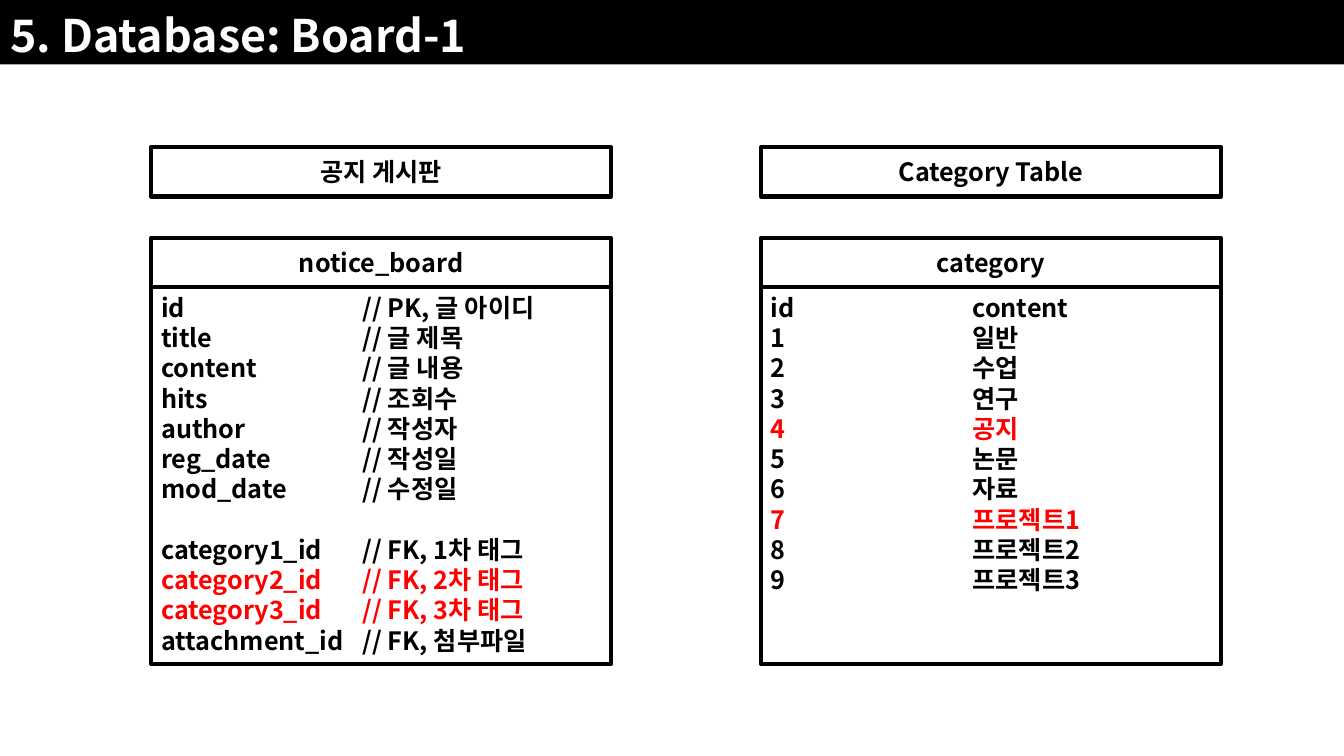
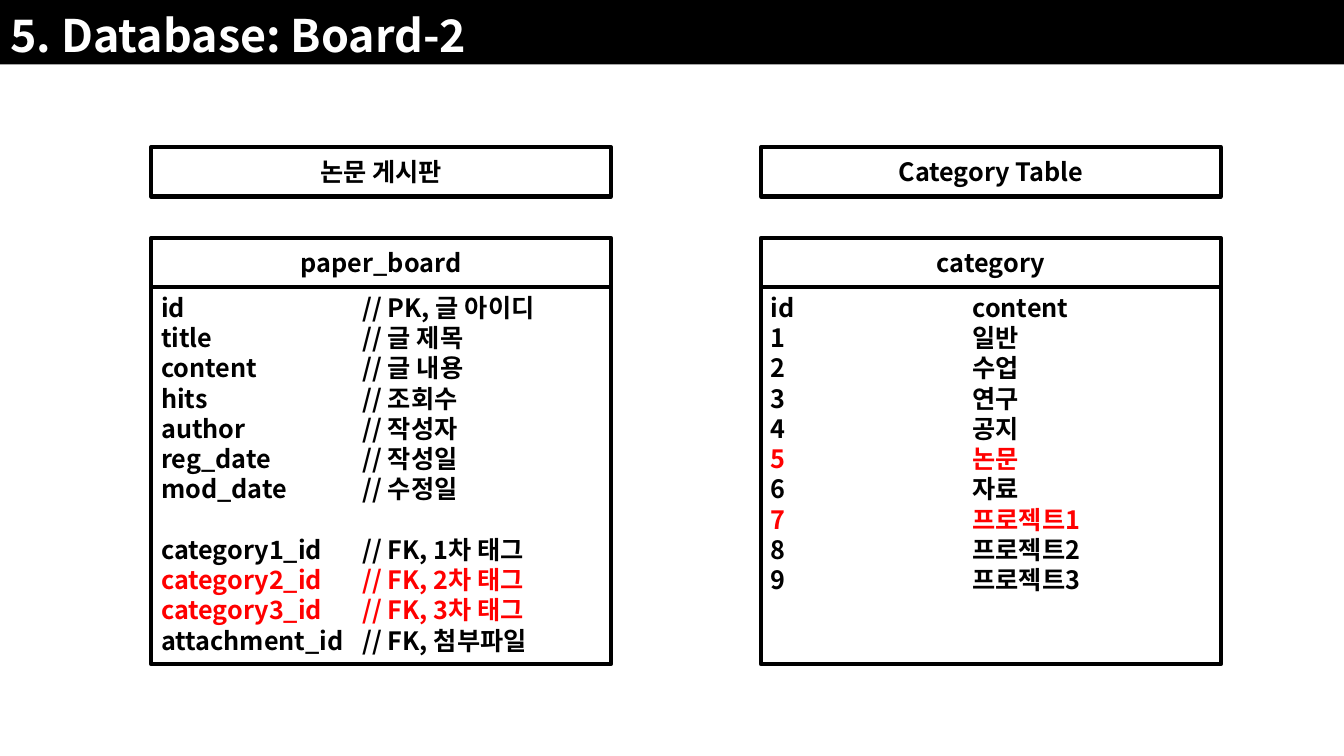
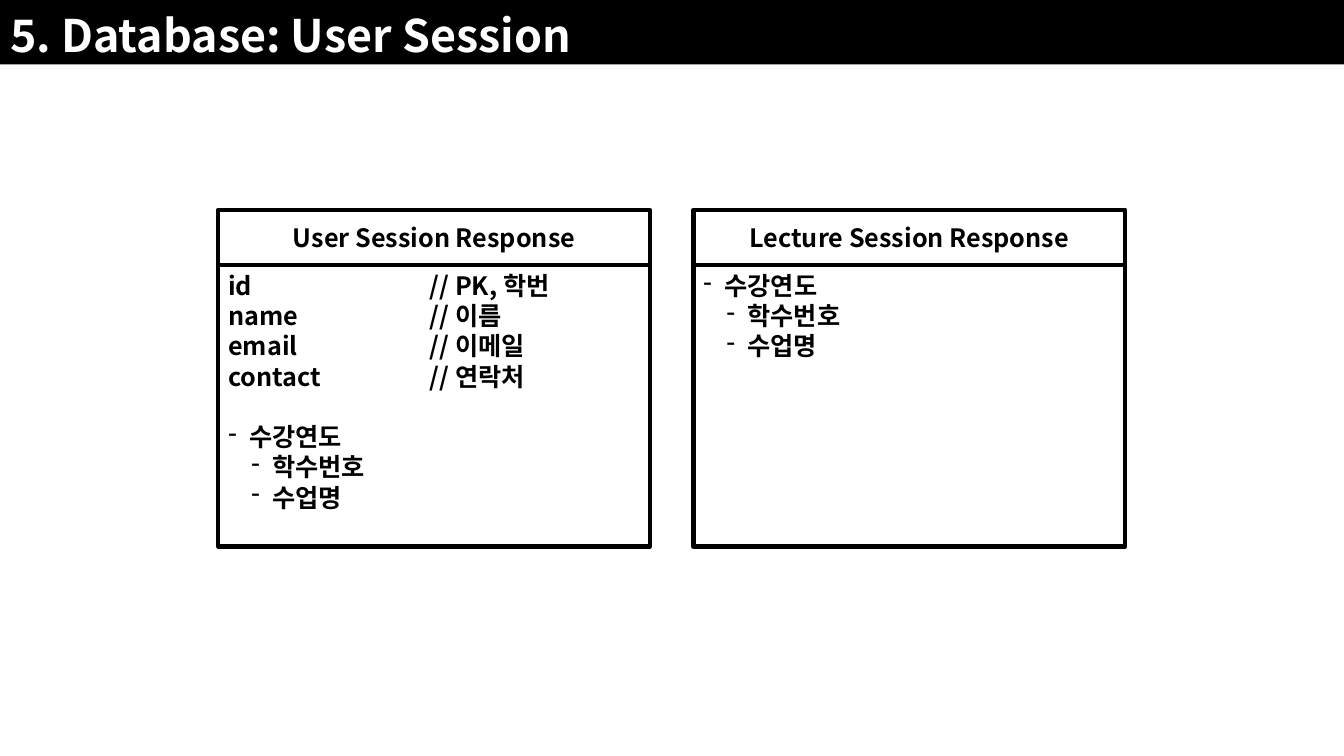
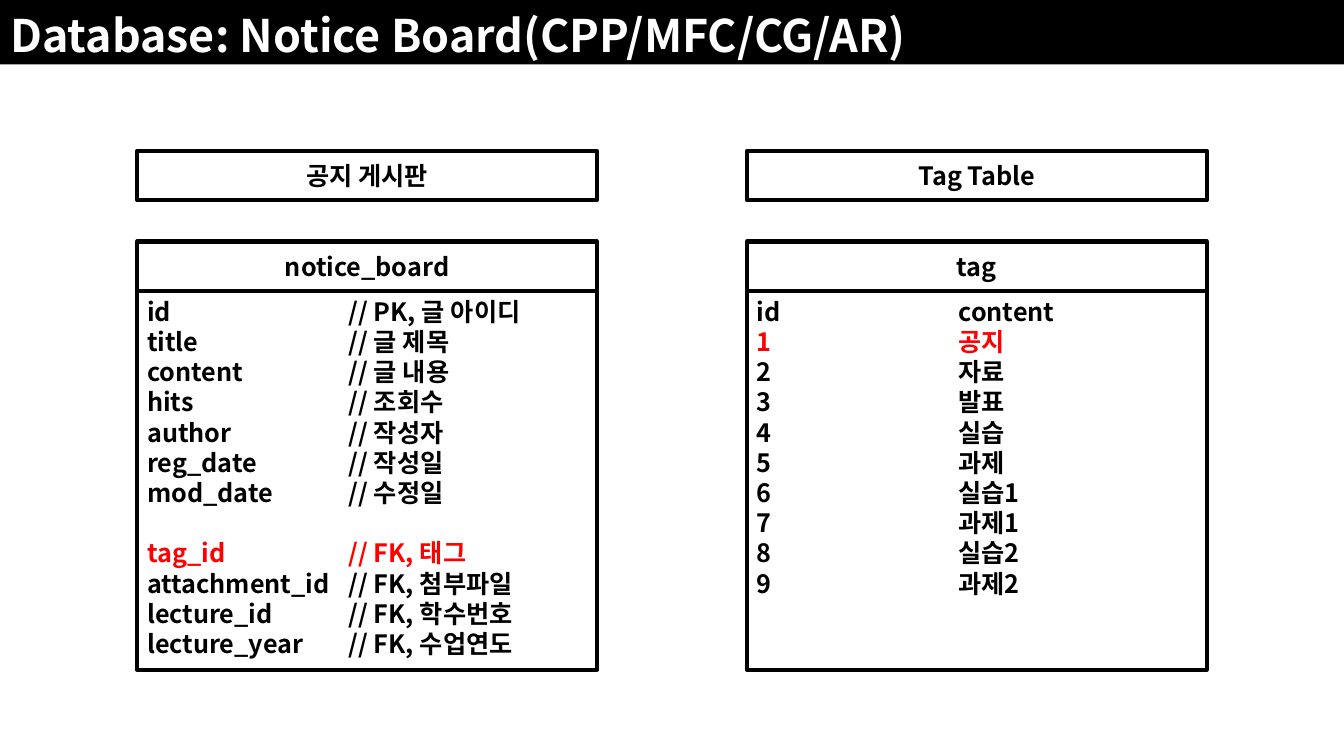
from dataclasses import dataclass, replace

from pptx import Presentation
from pptx.dml.color import RGBColor
from pptx.enum.shapes import MSO_SHAPE
from pptx.enum.text import MSO_ANCHOR, MSO_AUTO_SIZE, PP_ALIGN
from pptx.oxml.ns import qn
from pptx.slide import Slide
from pptx.text.text import TextFrame, _Paragraph
from pptx.util import Pt
from lxml import etree

RECTANGLE = MSO_SHAPE.RECTANGLE
TOP, MIDDLE = MSO_ANCHOR.TOP, MSO_ANCHOR.MIDDLE
LEFT, CENTER = PP_ALIGN.LEFT, PP_ALIGN.CENTER
NO_AUTOFIT = MSO_AUTO_SIZE.NONE

BLACK = RGBColor(0x00, 0x00, 0x00)
WHITE = RGBColor(0xFF, 0xFF, 0xFF)
RED = RGBColor(0xFF, 0x00, 0x00)

FONT = "Noto Sans CJK KR"
SLIDE_WIDTH, SLIDE_HEIGHT = 960, 540
BAND_HEIGHT = 46
TITLE_SIZE, TEXT_SIZE = 32, 18
LINE_RATIO = 1.2
TEXT_LINE = TEXT_SIZE * LINE_RATIO
BORDER = 3
COLUMN_STOP = 144
DASH_INDENT, LEVEL_STEP = 15, 16.5
LABEL_OFFSET = 64.8
TITLE_ONLY = 5


@dataclass(frozen=True)
class Row:
    """One line of a panel; a dash level of 0 means no dash."""
    text: str
    color: RGBColor = BLACK
    dash_level: int = 0
    gap_before: bool = False


@dataclass(frozen=True)
class Panel:
    heading: str
    rows: list[Row]
    label: str = ""


@dataclass(frozen=True)
class Grid:
    """Place and size of the panels on one slide, in points."""
    left: float
    top: float
    step: float
    width: float
    heading_height: float
    body_height: float


@dataclass(frozen=True)
class Page:
    title: str
    grid: Grid
    panels: list[Panel]


# Shared rows
POST_ROWS = [
    Row("id\t// PK, 글 아이디"),
    Row("title\t// 글 제목"),
    Row("content\t// 글 내용"),
    Row("hits\t// 조회수"),
    Row("author\t// 작성자"),
    Row("reg_date\t// 작성일"),
    Row("mod_date\t// 수정일"),
]
BOARD_ROWS = POST_ROWS + [
    Row("category1_id\t// FK, 1차 태그", gap_before=True),
    Row("category2_id\t// FK, 2차 태그", RED),
    Row("category3_id\t// FK, 3차 태그", RED),
    Row("attachment_id\t// FK, 첨부파일"),
]
TAGGED_ROWS = POST_ROWS + [
    Row("tag_id\t// FK, 태그", RED, gap_before=True),
    Row("attachment_id\t// FK, 첨부파일"),
    Row("lecture_id\t// FK, 학수번호"),
    Row("lecture_year\t// FK, 수업연도"),
]
LECTURE_ROWS = [
    Row("수강연도", dash_level=1),
    Row("학수번호", dash_level=2),
    Row("수업명", dash_level=2),
]
USER_ROWS = [
    Row("id\t// PK, 학번"),
    Row("name\t// 이름"),
    Row("email\t// 이메일"),
    Row("contact\t// 연락처"),
    replace(LECTURE_ROWS[0], gap_before=True),
    *LECTURE_ROWS[1:],
]
CATEGORIES = ["일반", "수업", "연구", "공지", "논문", "자료",
              "프로젝트1", "프로젝트2", "프로젝트3"]
TAGS = ["공지", "자료", "발표", "실습", "과제", "실습1", "과제1", "실습2", "과제2"]


def numbered_rows(contents: list[str], marked: set[int]) -> list[Row]:
    """List the contents under a header row, with the marked ids in red."""
    return [Row("id\tcontent")] + [
        Row(f"{number}\t{content}", RED if number in marked else BLACK)
        for number, content in enumerate(contents, 1)
    ]


def category_panel(marked: set[int]) -> Panel:
    return Panel("category", numbered_rows(CATEGORIES, marked), "Category Table")


BOARD_GRID = Grid(108, 170, 435.6, 328.4, 35.2, 269.2)
SESSION_GRID = Grid(156, 149.8, 339.4, 308.2, 39.6, 201)
NOTICE_GRID = Grid(98, 172.6, 435.6, 328.4, 35.2, 270.6)

PAGES = [
    Page("5. Database: Board-1", BOARD_GRID, [
        Panel("notice_board", BOARD_ROWS, "공지 게시판"),
        category_panel({4, 7}),
    ]),
    Page("5. Database: Board-2", BOARD_GRID, [
        Panel("paper_board", BOARD_ROWS, "논문 게시판"),
        category_panel({5, 7}),
    ]),
    Page("5. Database: User Session", SESSION_GRID, [
        Panel("User Session Response", USER_ROWS),
        Panel("Lecture Session Response", LECTURE_ROWS),
    ]),
    Page("Database: Notice Board(CPP/MFC/CG/AR)", NOTICE_GRID, [
        Panel("notice_board", TAGGED_ROWS, "공지 게시판"),
        Panel("tag", numbered_rows(TAGS, {1}), "Tag Table"),
    ]),
]


def set_values(target: object, values: dict[str, object]) -> None:
    for name, value in values.items():
        setattr(target, name, value)


def format_frame(frame: TextFrame, anchor: MSO_ANCHOR, margin_top: float = 3.6) -> None:
    set_values(frame, {
        "word_wrap": True, "auto_size": NO_AUTOFIT, "vertical_anchor": anchor,
        "margin_left": Pt(7.2), "margin_right": Pt(7.2),
        "margin_top": Pt(margin_top), "margin_bottom": Pt(3.6),
    })


def write_line(paragraph: _Paragraph, text: str, size: float, color: RGBColor,
               alignment: PP_ALIGN) -> None:
    set_values(paragraph, {"alignment": alignment,
                           "line_spacing": Pt(size * LINE_RATIO)})
    run = paragraph.add_run()
    run.text = text
    set_values(run.font, {"name": FONT, "size": Pt(size), "bold": True})
    run.font.color.rgb = color
    # Korean letters take the East Asian typeface
    properties = run.font._element
    etree.SubElement(properties, qn("a:ea")).set("typeface", FONT)


def add_dash(paragraph: _Paragraph, level: int) -> None:
    properties = paragraph._p.get_or_add_pPr()
    indent = DASH_INDENT + LEVEL_STEP * (level - 1)
    properties.set("marL", str(Pt(indent)))
    properties.set("indent", str(-Pt(DASH_INDENT)))
    etree.SubElement(properties, qn("a:buChar")).set("char", "-")


def add_column_stop(paragraph: _Paragraph) -> None:
    tabs = etree.SubElement(paragraph._p.get_or_add_pPr(), qn("a:tabLst"))
    stop = etree.SubElement(tabs, qn("a:tab"))
    stop.set("pos", str(Pt(COLUMN_STOP)))
    stop.set("algn", "l")


def add_box(slide: Slide, left: float, top: float, width: float, height: float,
            anchor: MSO_ANCHOR) -> TextFrame:
    shape = slide.shapes.add_shape(RECTANGLE, Pt(left), Pt(top), Pt(width), Pt(height))
    shape.shadow.inherit = False
    shape.fill.background()
    shape.line.color.rgb = BLACK
    shape.line.width = Pt(BORDER)
    format_frame(shape.text_frame, anchor)
    return shape.text_frame


def add_heading(slide: Slide, text: str, left: float, top: float, grid: Grid) -> None:
    frame = add_box(slide, left, top, grid.width, grid.heading_height, MIDDLE)
    write_line(frame.paragraphs[0], text, TEXT_SIZE, BLACK, CENTER)


def add_panel(slide: Slide, panel: Panel, left: float, grid: Grid) -> None:
    # Body
    frame = add_box(slide, left, grid.top + grid.heading_height,
                    grid.width, grid.body_height, TOP)
    for index, row in enumerate(panel.rows):
        paragraph = frame.add_paragraph() if index else frame.paragraphs[0]
        write_line(paragraph, row.text, TEXT_SIZE, row.color, LEFT)
        if row.gap_before:
            paragraph.space_before = Pt(TEXT_LINE)
        if row.dash_level:
            add_dash(paragraph, row.dash_level)
        if "\t" in row.text:
            add_column_stop(paragraph)
    # Heading, and label above it
    add_heading(slide, panel.heading, left, grid.top, grid)
    if panel.label:
        add_heading(slide, panel.label, left, grid.top - LABEL_OFFSET, grid)


def set_title(slide: Slide, text: str) -> None:
    """Turn the title placeholder into the black band at the top."""
    title = slide.shapes.title
    set_values(title, {"left": Pt(0), "top": Pt(0),
                       "width": Pt(SLIDE_WIDTH), "height": Pt(BAND_HEIGHT)})
    title.fill.solid()
    title.fill.fore_color.rgb = BLACK
    format_frame(title.text_frame, TOP, margin_top=5.6)
    write_line(title.text_frame.paragraphs[0], text, TITLE_SIZE, WHITE, LEFT)


def main() -> None:
    presentation = Presentation()
    set_values(presentation, {"slide_width": Pt(SLIDE_WIDTH),
                              "slide_height": Pt(SLIDE_HEIGHT)})
    for page in PAGES:
        slide = presentation.slides.add_slide(presentation.slide_layouts[TITLE_ONLY])
        set_title(slide, page.title)
        for index, panel in enumerate(page.panels):
            add_panel(slide, panel, page.grid.left + index * page.grid.step, page.grid)
    presentation.save("out.pptx")


if __name__ == "__main__":
    main()
